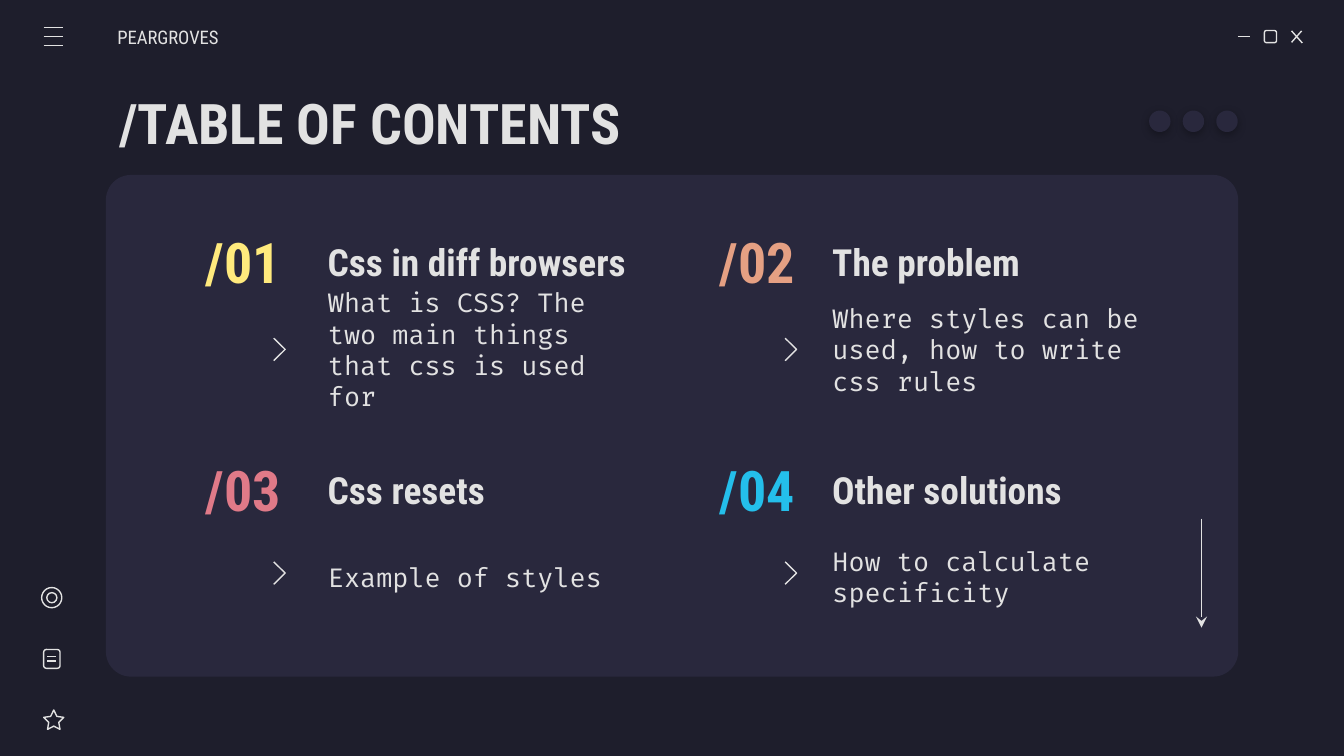
"""Build a dark table-of-contents slide on a grid of 100 columns."""
import pptx
import pptx.dml.color
import pptx.enum.shapes
import pptx.enum.text
import pptx.oxml
import pptx.oxml.ns
import pptx.util

C = {"bg": "1E1E2C", "panel": "29283D", "ink": "E2E2E2", "yellow": "FFEA7D",
     "orange": "E5A083", "pink": "E07A88", "blue": "24BFEB", "shadow": "000000"}
RGB = pptx.dml.color.RGBColor.from_string
SHAPE = pptx.enum.shapes.MSO_SHAPE
ALIGN = pptx.enum.text.PP_ALIGN
NS = pptx.oxml.ns.nsdecls("a")
HEAD, MONO = "Roboto Condensed", "Fira Code"

prs = pptx.Presentation()
prs.slide_width = pptx.util.Inches(10)
prs.slide_height = prs.slide_width * 9 // 16
col = prs.slide_width / 100
s = prs.slides.add_slide(prs.slide_layouts[4])
s.background.fill.solid()
s.background.fill.fore_color.rgb = RGB(C["bg"])


def write(sp, box, text, size, font=HEAD, color="ink", bold=True, align=ALIGN.LEFT, left=1):
    sp = sp or s.shapes.add_textbox(0, 0, 0, 0)
    for name, v in zip(("left", "top", "width", "height"), box):
        setattr(sp, name, round(v * col))
    tf = sp.text_frame
    frame = {"word_wrap": True, "auto_size": pptx.enum.text.MSO_AUTO_SIZE.NONE,
             "vertical_anchor": pptx.enum.text.MSO_ANCHOR.MIDDLE,
             "margin_left": round(left * col), "margin_right": round(col),
             "margin_top": round(col), "margin_bottom": round(col)}
    p = tf.paragraphs[0]
    r = p.add_run()
    r.text = text
    para = {"alignment": align, "space_before": pptx.util.Pt(0)}
    run = {"name": font, "size": pptx.util.Pt(size), "bold": bold}
    for obj, values in ((tf, frame), (p, para), (r.font, run)):
        for name, value in values.items():
            setattr(obj, name, value)
    r.font.color.rgb = RGB(C[color])
    if sp.is_placeholder:
        pPr = p._p.get_or_add_pPr()
        pPr.set("marL", "0")
        pPr.set("indent", "0")
        pPr.append(pptx.oxml.parse_xml(f"<a:buNone {NS}/>"))


def draw(kind, box, fill=None, adj=()):
    box = [round(v * col) for v in box]
    if kind == "line":
        sp = s.shapes.add_connector(pptx.enum.shapes.MSO_CONNECTOR.STRAIGHT, *box)
    elif kind == "chevron":
        x, y, w, h = box
        outline = s.shapes.build_freeform(x, y)
        outline.add_line_segments([(x + w, y + h // 2), (x, y + h)], close=False)
        sp = outline.convert_to_shape()
    else:
        sp = s.shapes.add_shape(kind, *box)
        for i, value in enumerate(adj):
            sp.adjustments[i] = value
    if fill:
        sp.fill.solid()
        sp.fill.fore_color.rgb = RGB(C[fill])
        sp.line.fill.background()
    else:
        if kind != "line":
            sp.fill.background()
        sp.line.color.rgb = RGB(C["ink"])
        sp.line.width = pptx.util.Pt(0.75)
    sp.element.spPr.append(pptx.oxml.parse_xml(f"<a:effectLst {NS}/>"))
    return sp


panel = draw(SHAPE.ROUNDED_RECTANGLE, (7.88, 13.02, 84.25, 37.33), "panel", [0.05])
s.shapes.element.insert(2, panel.element)

title, *bodies = s.placeholders
write(title, (7.88, 5.9, 84.25, 6.3), "/TABLE OF CONTENTS", 30)
write(None, (8.73, 1.25, 11.7, 3), "PEARGROVES", 10, bold=False, left=0)

topics = [
    ("yellow", "Css in diff browsers", "What is CSS? The two main things that css is used for"),
    ("orange", "The problem", "Where styles can be used, how to write css rules"),
    ("pink", "Css resets", "Example of styles"),
    ("blue", "Other solutions", "How to calculate specificity"),
]
columns = [(13.54, 20.37, 23.4), (51.8, 58.42, 60.94)]
for i, (color, heading, detail) in enumerate(topics):
    row, side = divmod(i, 2)
    number_x, chevron_x, text_x = columns[side]
    y = 16.67 + 16.93 * row
    write(None, (number_x, y, 9.1, 5.6), f"/0{i + 1}", 30, color=color, align=ALIGN.CENTER)
    write(None, (text_x, y, 25.6, 5.6), heading, 20)
    write(bodies[i], (text_x, y + 5.57, 25.6, 7.5), detail, 14, MONO, bold=False)
    draw("chevron", (chevron_x, 25.17 + 16.64 * row, 0.85, 1.67))

menu = [(3.25, y, 4.72, y) for y in (2.05, 2.72, 3.39)]
window = [(92.1, 2.72, 93, 2.72), (96.1, 2.3, 96.9, 3.2), (96.85, 2.3, 96.1, 3.15)]
page = [(3.5, y, 4.2, y) for y in (48.85, 49.2)]
for box in menu + window + page:
    draw("line", box)

for kind, box, adj in [
    (SHAPE.ROUNDED_RECTANGLE, (94.08, 2.27, 0.9, 0.9), [0.17]),
    (SHAPE.OVAL, (3.1, 43.72, 1.5, 1.5), []),
    (SHAPE.OVAL, (3.48, 44.1, 0.75, 0.75), []),
    (SHAPE.ROUNDED_RECTANGLE, (3.25, 48.33, 1.22, 1.4), [0.17]),
    (SHAPE.STAR_5_POINT, (3.25, 52.83, 1.5, 1.45), [0.25]),
]:
    draw(kind, box, adj=adj)

arrow = draw("line", (89.4, 38.6, 89.4, 46.7))
arrow.line._get_or_add_ln().append(pptx.oxml.parse_xml(f'<a:tailEnd {NS} type="stealth"/>'))

for i in range(3):
    dot = draw(SHAPE.OVAL, (85.5 + 2.5 * i, 8.23, 1.6, 1.6), "panel")
    dot.element.spPr[-1].append(pptx.oxml.parse_xml(
        f'<a:outerShdw {NS} blurRad="57150" dist="19050" dir="5400000" algn="bl" rotWithShape="0">'
        f'<a:srgbClr val="{C["shadow"]}"><a:alpha val="29000"/></a:srgbClr></a:outerShdw>'))

prs.save("out.pptx")
